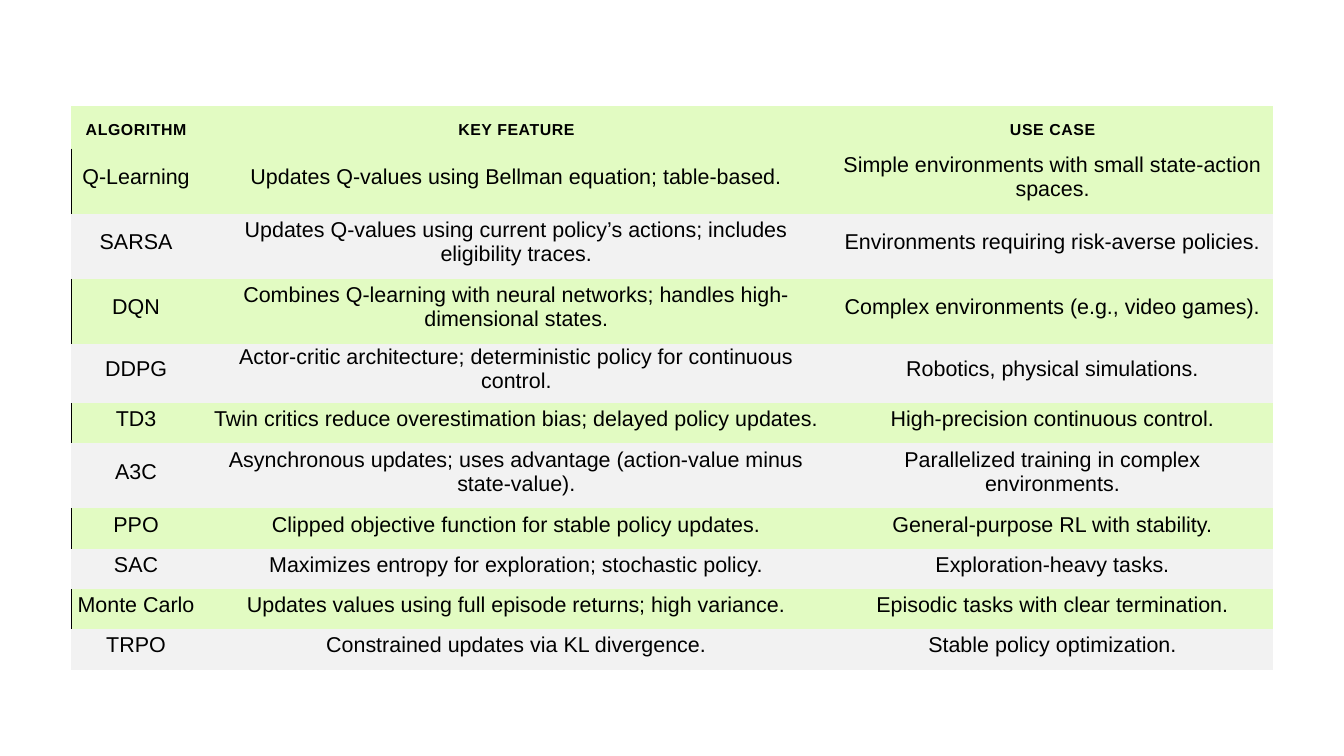
"""Build a slide with a table comparing reinforcement learning algorithms."""
from lxml.etree import SubElement
from pptx import Presentation
from pptx.dml.color import RGBColor
from pptx.enum.text import MSO_ANCHOR, PP_ALIGN
from pptx.oxml import parse_xml
from pptx.oxml.ns import nsdecls, qn
from pptx.util import Pt

COLORS = {"green": "E2FBC2", "gray": "F2F2F2", "text": "000000", "rule": "000000"}
NO_GRID_STYLE = "{2D5ABB26-0587-4C30-8999-92F81FD0307C}"
HEADER, TALL, SHORT = 45.4, 69.8, 43.2
COLUMN_WIDTHS = [139, 676, 473]
ROWS = [
    (HEADER, "ALGORITHM", "KEY FEATURE", "USE CASE"),
    (TALL, "Q-Learning", "Updates Q-values using Bellman equation; table-based.",
     "Simple environments with small state-action spaces."),
    (TALL, "SARSA", "Updates Q-values using current policy’s actions; includes eligibility traces.",
     "Environments requiring risk-averse policies."),
    (TALL, "DQN", "Combines Q-learning with neural networks; handles high-dimensional states.",
     "Complex environments (e.g., video games)."),
    (SHORT, "DDPG", "Actor-critic architecture; deterministic policy for continuous control.",
     "Robotics, physical simulations."),
    (SHORT, "TD3", "Twin critics reduce overestimation bias; delayed policy updates.",
     "High-precision continuous control."),
    (TALL, "A3C", "Asynchronous updates; uses advantage (action-value minus state-value).",
     "Parallelized training in complex environments."),
    (SHORT, "PPO", "Clipped objective function for stable policy updates.",
     "General-purpose RL with stability."),
    (SHORT, "SAC", "Maximizes entropy for exploration; stochastic policy.",
     "Exploration-heavy tasks."),
    (SHORT, "Monte Carlo", "Updates values using full episode returns; high variance.",
     "Episodic tasks with clear termination."),
    (SHORT, "TRPO", "Constrained updates via KL divergence.", "Stable policy optimization."),
]

deck = Presentation()
deck.slide_width, deck.slide_height = Pt(1440), Pt(810)
page = deck.slides.add_slide(deck.slide_layouts[6])

frame = page.shapes.add_table(
    len(ROWS), len(COLUMN_WIDTHS), Pt(76.3), Pt(113.8),
    Pt(sum(COLUMN_WIDTHS)), Pt(sum(row[0] for row in ROWS)))
table = frame.table
table.first_row = table.horz_banding = False
table._tbl.tblPr.find(qn("a:tableStyleId")).text = NO_GRID_STYLE
for column, width in zip(table.columns, COLUMN_WIDTHS):
    column.width = Pt(width)

for row_number, (height, *texts) in enumerate(ROWS):
    is_header = row_number == 0
    is_green = is_header or row_number % 2 == 1
    table.rows[row_number].height = Pt(height)
    for column_number, text in enumerate(texts):
        cell = table.cell(row_number, column_number)
        cell.fill.solid()
        cell.fill.fore_color.rgb = RGBColor.from_string(COLORS["green" if is_green else "gray"])
        cell.vertical_anchor = MSO_ANCHOR.BOTTOM if is_header else MSO_ANCHOR.MIDDLE
        cell.margin_left = cell.margin_right = Pt(2.2)
        cell.margin_top = Pt(10 if is_header else 1.5)
        cell.margin_bottom = Pt(10)

        para = cell.text_frame.paragraphs[0]
        para.alignment = PP_ALIGN.CENTER
        span = para.add_run()
        span.text = text
        para.font.name = "Arial"
        para.font.size = Pt(17 if is_header else 23)
        para.font.bold = is_header
        para.font.color.rgb = RGBColor.from_string(COLORS["text"])
        if is_header:
            span.font._element.set("spc", "60")

        if is_green and not is_header and column_number == 0:
            border = parse_xml(f'<a:lnL {nsdecls("a")} w="{Pt(1)}"/>')
            fill = SubElement(border, qn("a:solidFill"))
            SubElement(fill, qn("a:srgbClr"), val=COLORS["rule"])
            cell._tc.tcPr.insert(0, border)

deck.save("out.pptx")
